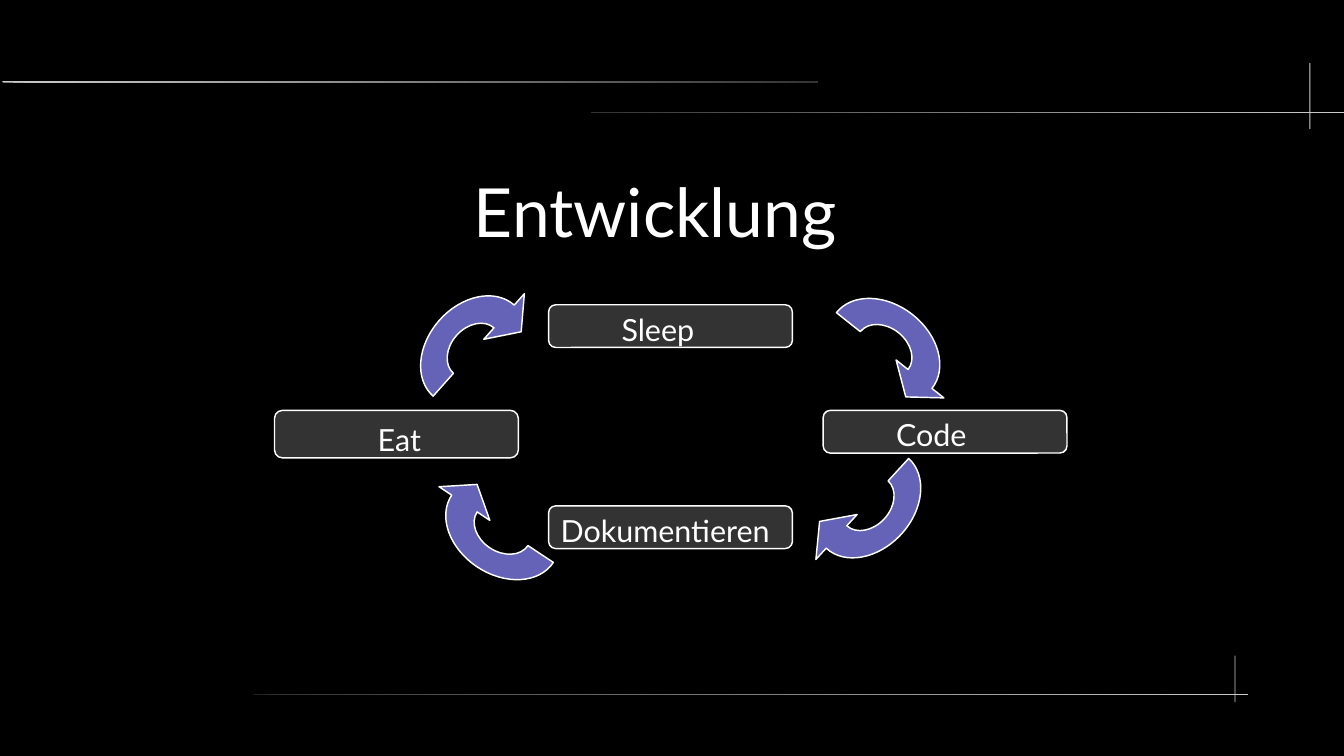
import lxml.etree
import pptx
import pptx.dml.color
import pptx.enum.shapes
import pptx.enum.text
import pptx.oxml.ns
import pptx.util

Cm = pptx.util.Cm
Pt = pptx.util.Pt
qn = pptx.oxml.ns.qn
ROUNDED = pptx.enum.shapes.MSO_SHAPE.ROUNDED_RECTANGLE
ALIGN = pptx.enum.text.PP_ALIGN
ANCHOR = pptx.enum.text.MSO_ANCHOR

COLORS = {
    "background": "000000",
    "text": "FFFFFF",
    "outline": "FFFFFF",
    "station": "333333",
    "arrow": "6563B7",
    "rule_dark": "333333",
    "rule_light": "CCCCCC",
}
FONT = "Lato"
STATION_WIDTH = 5.08
ARROW_WIDTH, ARROW_HEIGHT = 2.54, 1.91
ARROW_GRID = (800, 600)
ARROW_OUTLINE = (
    ("moveTo", [(600, 300)]),
    ("cubicBezTo", [(600, 217), (510, 150), (400, 150)]),
    ("cubicBezTo", [(290, 150), (200, 217), (200, 300)]),
    ("lnTo", [(0, 300)]),
    ("cubicBezTo", [(0, 134), (179, 0), (400, 0)]),
    ("cubicBezTo", [(621, 0), (800, 134), (800, 300)]),
    ("lnTo", [(900, 300)]),
    ("lnTo", [(700, 450)]),
    ("lnTo", [(500, 300)]),
    ("close", []),
)


def rgb(name):
    return pptx.dml.color.RGBColor.from_string(COLORS[name])


def paint(shape, fill, outline=None):
    shape.shadow.inherit = False
    shape.fill.solid()
    shape.fill.fore_color.rgb = rgb(fill)
    if outline:
        shape.line.color.rgb = rgb(outline)
        shape.line.width = Pt(0.85)
    else:
        shape.line.fill.background()


def add_bar(slide, left, top, width, height):
    bar = slide.shapes.add_shape(ROUNDED, Cm(left), Cm(top), Cm(width), Cm(height))
    bar.adjustments[0] = 0.5
    paint(bar, "rule_light")
    return bar


def add_fading_rule(slide, left, top, width, height, start, end):
    rule = add_bar(slide, left, top, width, height)
    rule.fill.gradient()
    rule.fill.gradient_angle = 0
    for stop, color in zip(rule.fill.gradient_stops, (start, end)):
        stop.color.rgb = rgb(color)


def add_label(slide, text, left, top, width, height, size):
    label = slide.shapes.add_textbox(Cm(left), Cm(top), Cm(width), Cm(height))
    frame = label.text_frame
    frame.word_wrap = True
    frame.text = text
    font = frame.paragraphs[0].runs[0].font
    font.name = FONT
    font.size = Pt(size)
    font.color.rgb = rgb("text")
    return frame


def add_title(slide, text):
    frame = add_label(slide, text, 0.4, 0.2, 26.5, 8.35, 40)
    frame.margin_left = frame.margin_right = 0
    frame.margin_top = frame.margin_bottom = 0
    frame.vertical_anchor = ANCHOR.MIDDLE
    frame.paragraphs[0].alignment = ALIGN.CENTER


def add_station(slide, left, top, height):
    station = slide.shapes.add_shape(
        ROUNDED, Cm(left), Cm(top), Cm(STATION_WIDTH), Cm(height)
    )
    paint(station, "station", "outline")


def add_cycle_arrow(slide, left, top, degrees):
    right, bottom = left + ARROW_WIDTH, top + ARROW_HEIGHT
    builder = slide.shapes.build_freeform(Cm(left), Cm(top))
    builder.add_line_segments([(Cm(right), Cm(top)), (Cm(right), Cm(bottom))])
    arrow = builder.convert_to_shape()
    outline = next(arrow.element.iter(qn("a:path")))
    for segment in list(outline):
        outline.remove(segment)
    for side, length in zip("wh", ARROW_GRID):
        outline.set(side, str(length))
    for command, points in ARROW_OUTLINE:
        segment = lxml.etree.SubElement(outline, qn(f"a:{command}"))
        for x, y in points:
            lxml.etree.SubElement(segment, qn("a:pt"), x=str(x), y=str(y))
    arrow.rotation = degrees
    paint(arrow, "arrow", "outline")


def main():
    presentation = pptx.Presentation()
    presentation.slide_width = Cm(28)
    presentation.slide_height = Cm(15.75)
    slide = presentation.slides.add_slide(presentation.slide_layouts[6])
    slide.background.fill.solid()
    slide.background.fill.fore_color.rgb = rgb("background")

    add_fading_rule(slide, 0.05, 1.68, 17, 0.04, "rule_light", "rule_dark")
    add_fading_rule(slide, 12.31, 2.33, 15.77, 0.02, "rule_dark", "rule_light")
    add_bar(slide, 27.28, 1.31, 0.02, 1.38)
    add_fading_rule(slide, 5.28, 14.45, 20.72, 0.02, "rule_dark", "rule_light")
    add_bar(slide, 25.72, 13.66, 0.02, 0.97)

    add_title(slide, "Entwicklung")

    for left, top, height in (
        (11.43, 6.35, 0.89),
        (17.15, 8.55, 0.89),
        (5.72, 8.55, 0.99),
        (11.43, 10.54, 0.89),
    ):
        add_station(slide, left, top, height)

    for text, left, top, width, height in (
        ("Eat", 7.62, 8.64, 3.81, 1.02),
        ("Sleep", 12.7, 6.35, 3.18, 1.02),
        ("Code", 18.42, 8.55, 3.18, 1.02),
        ("Dokumentieren", 11.43, 10.54, STATION_WIDTH, 1.52),
    ):
        add_label(slide, text, left, top, width, height, 18)

    for left, top, degrees in (
        (17.15, 6.35, 38.4),
        (8.6, 6.35, 311.7),
        (16.8, 9.53, 132.6),
        (9.2, 10.06, 213.5),
    ):
        add_cycle_arrow(slide, left, top, degrees)

    presentation.save("out.pptx")


if __name__ == "__main__":
    main()
